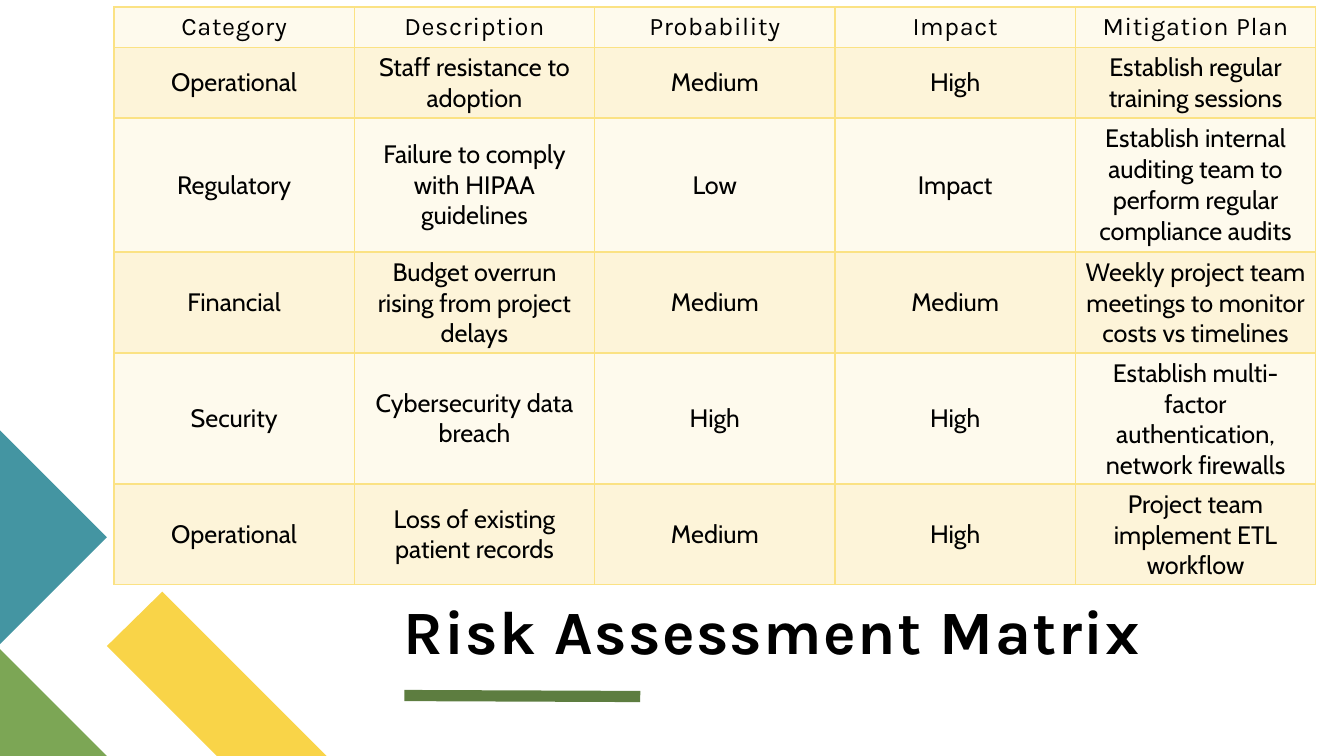
from dataclasses import dataclass

from lxml.etree import SubElement
from pptx import Presentation
from pptx.dml.color import RGBColor
from pptx.enum.shapes import MSO_CONNECTOR as Connector
from pptx.enum.text import MSO_ANCHOR as Anchor, PP_ALIGN as Align
from pptx.oxml.ns import qn
from pptx.slide import Slide
from pptx.table import _Cell as Cell
from pptx.util import Inches, Pt

BORDER = "FBE284"
BAND_FILLS = ("FEFAED", "FDF4D9")
COLUMN_WIDTH = 2.384
ROW_HEIGHTS = (0.35, 0.62, 1.33, 0.91, 1.15, 0.89)
RISK_ROWS = (
    ("Category", "Description", "Probability", "Impact", "Mitigation Plan"),
    ("Operational", "Staff resistance to adoption", "Medium", "High",
     "Establish regular training sessions"),
    ("Regulatory", "Failure to comply with HIPAA guidelines", "Low", "Impact",
     "Establish internal auditing team to perform regular compliance audits"),
    ("Financial", "Budget overrun rising from project delays", "Medium", "Medium",
     "Weekly project team meetings to monitor costs vs timelines"),
    ("Security", "Cybersecurity data breach", "High", "High",
     "Establish multi-factor authentication, network firewalls"),
    ("Operational", "Loss of existing patient records", "Medium", "High",
     "Project team implement ETL workflow"),
)


@dataclass(frozen=True)
class Polygon:
    color: str
    points: tuple[tuple[float, float], ...]


@dataclass(frozen=True)
class TextStyle:
    font: str
    size: int
    bold: bool = False
    spacing: float = 0


POLYGONS = (
    Polygon("F9D448", ((3.24, 7.5), (2.15, 7.5), (1.06, 6.41), (1.61, 5.87))),
    Polygon("7CA655", ((1.06, 7.5), (0, 7.5), (0, 6.44))),
    Polygon("4495A2", ((0, 4.27), (1.06, 5.33), (0, 6.39))),
)
TITLE_STYLE = TextStyle("Karla", 44, bold=True, spacing=1)
HEADER_STYLE = TextStyle("Karla", 18, spacing=0.5)
BODY_STYLE = TextStyle("Cabin", 18)


def rgb(color: str) -> RGBColor:
    return RGBColor.from_string(color)


def apply_format(target: object, values: dict[str, object]) -> None:
    for name, value in values.items():
        setattr(target, name, value)


def write_text(paragraph, text: str, style: TextStyle) -> None:
    run = paragraph.add_run()
    run.text = text
    apply_format(run.font, {"name": style.font, "size": Pt(style.size), "bold": style.bold})
    run.font.color.rgb = rgb("000000")
    if style.spacing:
        run.font._element.set("spc", str(int(style.spacing * 100)))


def draw_polygon(slide: Slide, polygon: Polygon) -> None:
    start, *others = [(Inches(x), Inches(y)) for x, y in polygon.points]
    builder = slide.shapes.build_freeform(*start)
    builder.add_line_segments(others, close=True)
    shape = builder.convert_to_shape()
    shape.shadow.inherit = False
    shape.fill.solid()
    shape.fill.fore_color.rgb = rgb(polygon.color)
    shape.line.fill.background()


def draw_underline(slide: Slide) -> None:
    ends = [Inches(value) for value in (4.01, 6.9, 6.35, 6.91)]
    underline = slide.shapes.add_connector(Connector.STRAIGHT, *ends)
    underline.line.color.rgb = rgb("5D7D40")
    underline.line.width = Pt(8)
    SubElement(underline._element.spPr, qn("a:effectLst"))


def draw_title(slide: Slide) -> None:
    box = slide.shapes.add_textbox(Inches(4), Inches(5.1), Inches(8.68), Inches(1.51))
    frame = box.text_frame
    apply_format(frame, {
        "word_wrap": True, "vertical_anchor": Anchor.BOTTOM,
        "margin_left": 0, "margin_right": 0, "margin_top": 0, "margin_bottom": 0,
    })
    paragraph = frame.paragraphs[0]
    paragraph.line_spacing = 0.8
    write_text(paragraph, "Risk Assessment Matrix", TITLE_STYLE)


def set_borders(cell: Cell) -> None:
    properties = cell._tc.get_or_add_tcPr()
    for position, side in enumerate(("lnL", "lnR", "lnT", "lnB")):
        line = properties.makeelement(qn(f"a:{side}"), {"w": str(Pt(1))})
        fill = SubElement(line, qn("a:solidFill"))
        SubElement(fill, qn("a:srgbClr"), val=BORDER)
        properties.insert(position, line)


def fill_cell(cell: Cell, text: str, color: str, style: TextStyle) -> None:
    cell.vertical_anchor = Anchor.MIDDLE
    cell.fill.solid()
    cell.fill.fore_color.rgb = rgb(color)
    set_borders(cell)
    paragraph = cell.text_frame.paragraphs[0]
    paragraph.alignment = Align.CENTER
    write_text(paragraph, text, style)


def draw_risk_table(slide: Slide) -> None:
    column_count = len(RISK_ROWS[0])
    table = slide.shapes.add_table(
        len(RISK_ROWS), column_count, Inches(1.13), Inches(0.07),
        Inches(COLUMN_WIDTH * column_count), Inches(sum(ROW_HEIGHTS)),
    ).table
    apply_format(table, {"first_row": False, "horz_banding": False})
    for column in table.columns:
        column.width = Inches(COLUMN_WIDTH)
    for index, (texts, height) in enumerate(zip(RISK_ROWS, ROW_HEIGHTS)):
        table.rows[index].height = Inches(height)
        style = BODY_STYLE if index else HEADER_STYLE
        for cell, text in zip(table.rows[index].cells, texts):
            fill_cell(cell, text, BAND_FILLS[index % 2], style)


def main() -> None:
    presentation = Presentation()
    apply_format(presentation, {"slide_width": Inches(13.33), "slide_height": Inches(7.5)})
    slide = presentation.slides.add_slide(presentation.slide_layouts[6])
    for polygon in POLYGONS:
        draw_polygon(slide, polygon)
    draw_underline(slide)
    draw_title(slide)
    draw_risk_table(slide)
    presentation.save("out.pptx")


if __name__ == "__main__":
    main()
